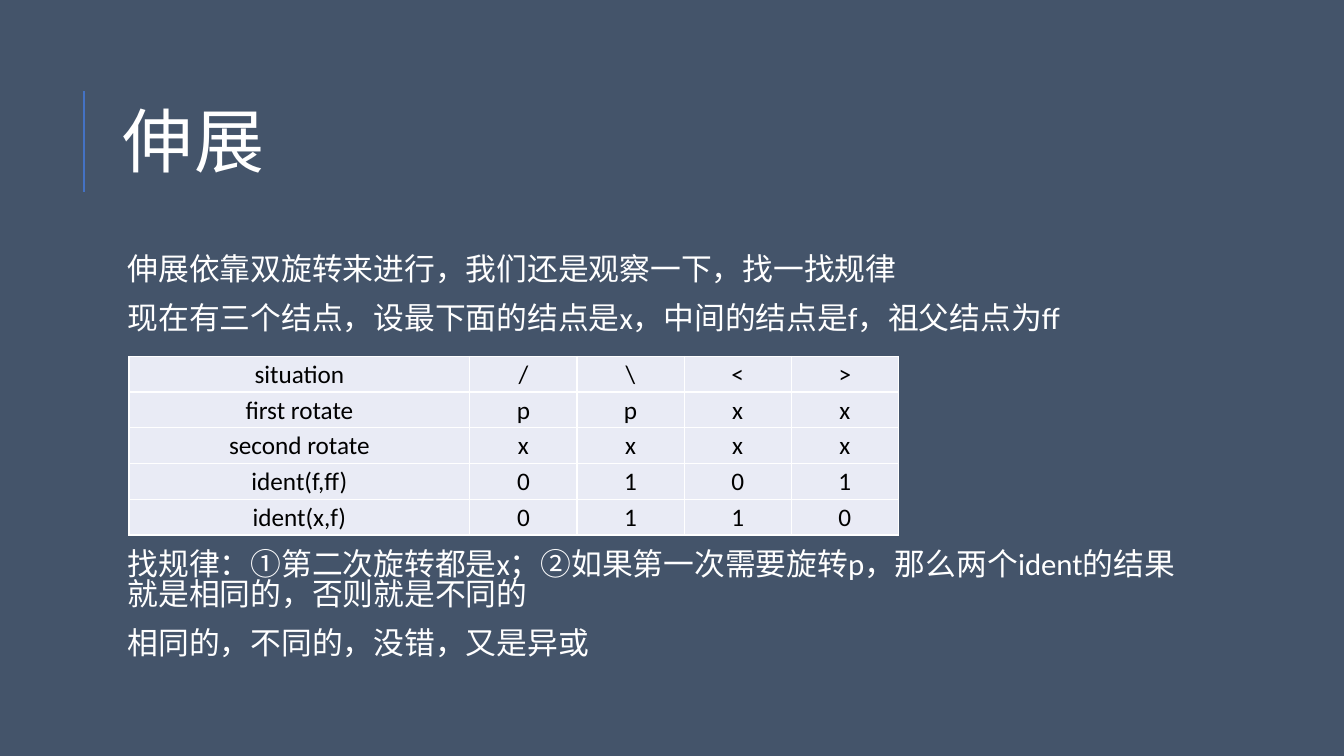
from lxml.etree import SubElement
from pptx import Presentation
from pptx.dml.color import RGBColor
from pptx.enum.shapes import MSO_CONNECTOR as Connector
from pptx.enum.text import MSO_ANCHOR as Anchor, MSO_AUTO_SIZE as AutoSize, PP_ALIGN as Align
from pptx.oxml import parse_xml
from pptx.oxml.ns import nsdecls, qn
from pptx.util import Cm, Pt

ACCENT = "4472C4"
WHITE = "FFFFFF"


def paint(fill, color):
    fill.solid()
    fill.fore_color.rgb = RGBColor.from_string(color)


def style(paragraph, size, color):
    paragraph.font.name = "Calibri"
    paragraph.font.size = Pt(size)
    paragraph.font.bold = False
    paint(paragraph.font.fill, color)


prs = Presentation()
prs.slide_width, prs.slide_height = Cm(33.87), Cm(19.05)
slide = prs.slides.add_slide(prs.slide_layouts[1])
paint(slide.background.fill, "44546A")

accent_rule = slide.shapes.add_connector(Connector.STRAIGHT, Cm(2.11), Cm(4.83), Cm(2.11), Cm(2.29))
paint(accent_rule.line.fill, ACCENT)
accent_rule.line.width = Pt(1.5)
SubElement(accent_rule._element.spPr, qn("a:effectLst"))

title = slide.shapes.title
title.left, title.top, title.width, title.height = Cm(2.84), Cm(1.63), Cm(27), Cm(4.17)
title.text_frame.text = "伸展"
title.text_frame.vertical_anchor = Anchor.MIDDLE
title.text_frame.auto_size = AutoSize.NONE
heading = title.text_frame.paragraphs[0]
heading.alignment = Align.LEFT
heading.line_spacing = 0.8
style(heading, 50, WHITE)
heading.runs[0]._r.get_or_add_rPr().set("spc", "100")

body = slide.placeholders[1]
body.left, body.top, body.width, body.height = Cm(2.84), Cm(6.35), Cm(27), Cm(11.18)
notes = body.text_frame
notes.auto_size = AutoSize.NONE
notes.vertical_anchor = Anchor.TOP
notes.margin_left = notes.margin_right = notes.margin_top = notes.margin_bottom = Cm(0.13)
observations = [
    ("伸展依靠双旋转来进行，我们还是观察一下，找一找规律", 12),
    ("现在有三个结点，设最下面的结点是x，中间的结点是f，祖父结点为ff", 12),
    ("找规律：①第二次旋转都是x；②如果第一次需要旋转p，那么两个ident的结果就是相同的，否则就是不同的", 152.5),
    ("相同的，不同的，没错，又是异或", 12),
]
notes.text = "\n".join(text for text, gap in observations)
for paragraph, (text, gap) in zip(notes.paragraphs, observations):
    paragraph.alignment = Align.LEFT
    paragraph.line_spacing = 0.8
    paragraph.space_before = Pt(gap)
    paragraph.space_after = Pt(2)
    properties = paragraph._p.get_or_add_pPr()
    properties.set("marL", str(Cm(0.25)))
    properties.set("indent", str(-Cm(0.25)))
    bullet_color = SubElement(properties, qn("a:buClr"))
    SubElement(bullet_color, qn("a:srgbClr")).set("val", ACCENT)
    SubElement(properties, qn("a:buChar")).set("char", " ")
    style(paragraph, 22, WHITE)

rotations = [
    ["situation", "/", "\\", "<", ">"],
    ["first rotate", "p", "p", "x", "x"],
    ["second rotate", "x", "x", "x", "x"],
    ["ident(f,ff)", "0", "1", "0", "1"],
    ["ident(x,f)", "0", "1", "1", "0"],
]
table = slide.shapes.add_table(5, 5, Cm(3.25), Cm(8.98), Cm(19.39), Cm(4.5)).table
table.first_row = table.horz_banding = False
for index, column in enumerate(table.columns):
    column.width = Cm(2.7 if index else 8.59)
for row, values in zip(table.rows, rotations):
    row.height = Cm(0.9)
    for cell, value in zip(row.cells, values):
        cell.text = value
        cell.vertical_anchor = Anchor.MIDDLE
        cell.margin_left = cell.margin_right = cell.margin_top = Cm(0.03)
        cell.margin_bottom = 0
        cell.text_frame.paragraphs[0].alignment = Align.CENTER
        style(cell.text_frame.paragraphs[0], 18, "000000")
        for side in "LRTB":
            cell._tc.get_or_add_tcPr().append(parse_xml(
                f'<a:ln{side} {nsdecls("a")} w="{Pt(1)}"><a:solidFill>'
                f'<a:srgbClr val="{WHITE}"/></a:solidFill></a:ln{side}>'))
        paint(cell.fill, "E9EBF5")

prs.save("out.pptx")
